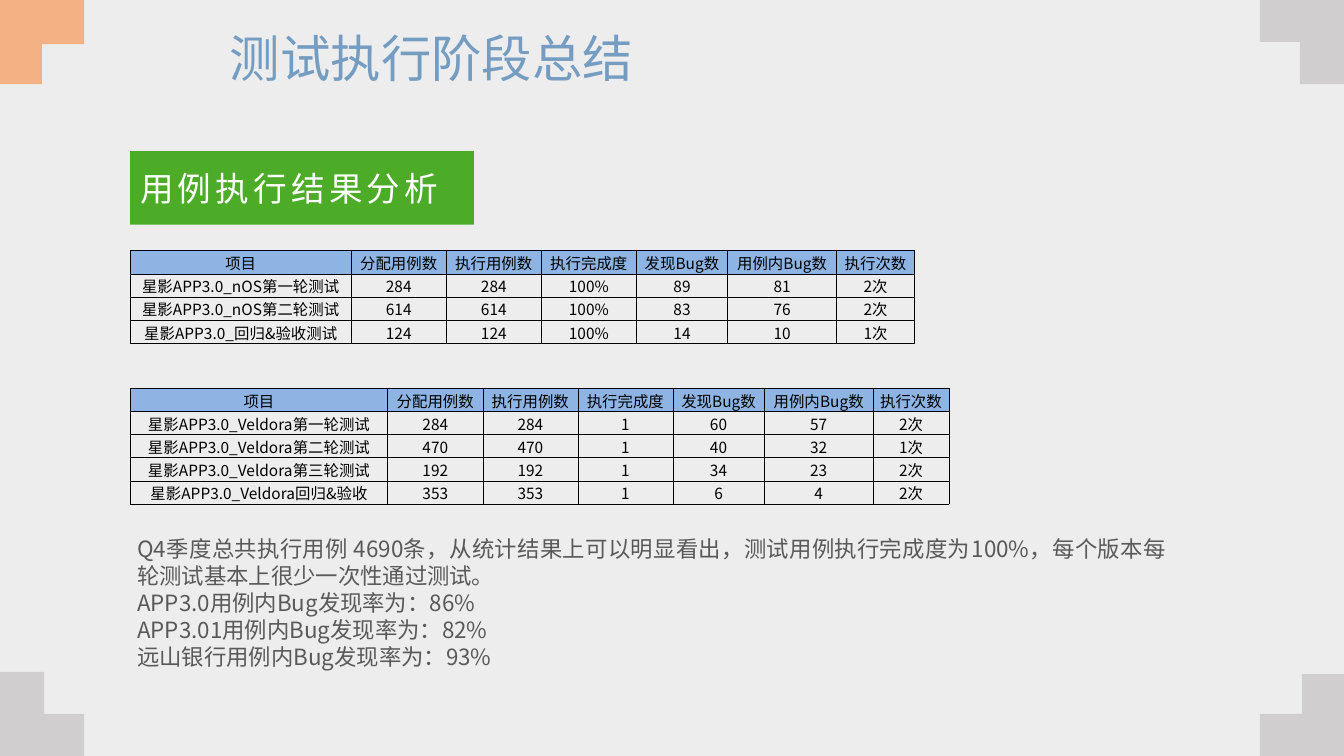
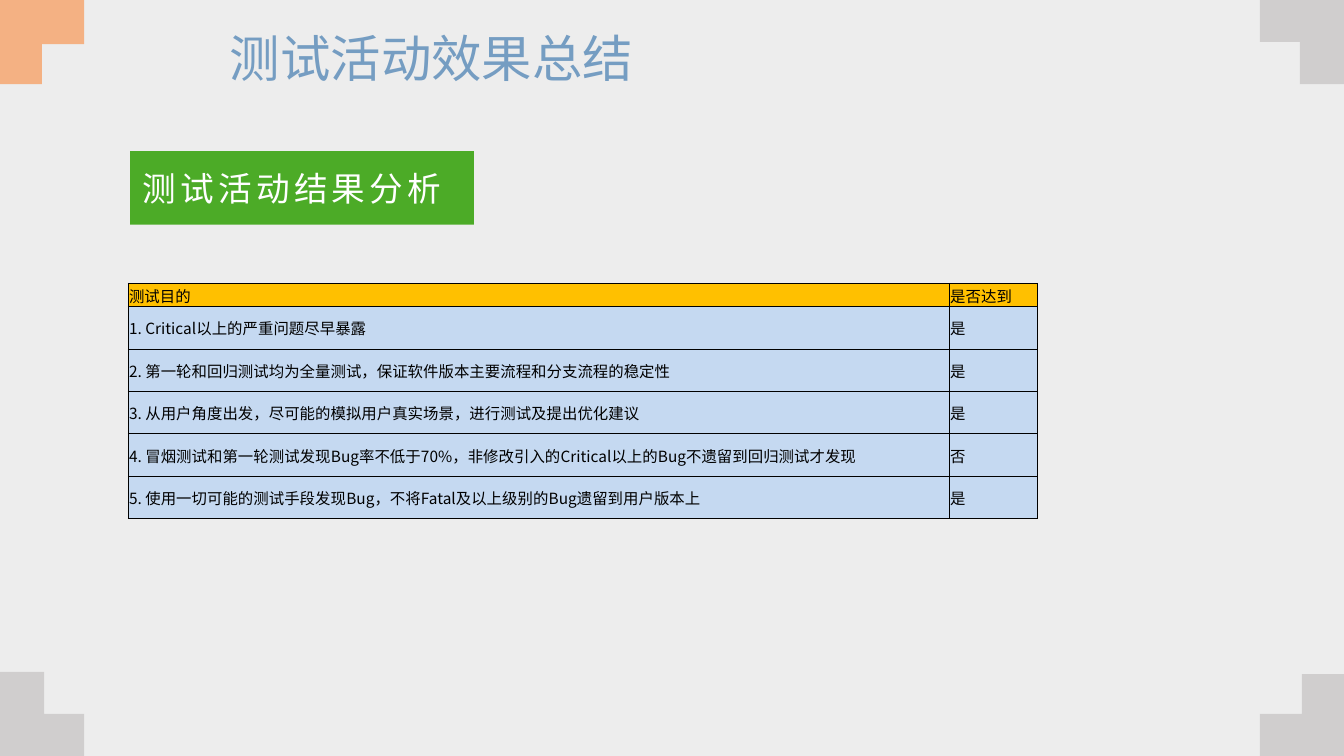
from dataclasses import dataclass
from typing import Optional, Sequence

from lxml import etree
from pptx import Presentation
from pptx.dml.color import RGBColor
from pptx.enum.shapes import MSO_SHAPE
from pptx.enum.text import MSO_ANCHOR, MSO_AUTO_SIZE, PP_ALIGN
from pptx.oxml.ns import qn
from pptx.util import Pt

RECT = MSO_SHAPE.RECTANGLE
LEFT, CENTER, JUSTIFY = PP_ALIGN.LEFT, PP_ALIGN.CENTER, PP_ALIGN.JUSTIFY
MIDDLE = MSO_ANCHOR.MIDDLE
NO_AUTOFIT = MSO_AUTO_SIZE.NONE

FONT = "Noto Sans CJK SC"
BACKGROUND = RGBColor(0xED, 0xED, 0xED)
ORANGE = RGBColor(0xF4, 0xB1, 0x83)
GRAY = RGBColor(0xD0, 0xCE, 0xCE)
GREEN = RGBColor(0x4C, 0xAB, 0x27)
TITLE_BLUE = RGBColor(0x75, 0x9D, 0xC2)
HEADER_BLUE = RGBColor(0x8D, 0xB4, 0xE3)
ROW_BLUE = RGBColor(0xC5, 0xD9, 0xF1)
AMBER = RGBColor(0xFF, 0xC0, 0x00)
TEXT_GRAY = RGBColor(0x59, 0x59, 0x59)
WHITE = RGBColor(0xFF, 0xFF, 0xFF)
BLACK = RGBColor(0x00, 0x00, 0x00)

SLIDE_W, SLIDE_H = 960, 540
CORNER_SIZE = 60
MARGIN = 93
HEADER_ROW_H = 16.6


@dataclass
class Corner:
    """L shape in a slide corner: a bar along the edge and a post beside it."""
    x: float
    y: float
    dx: int
    dy: int
    bar: float
    post: float
    height: float
    color: RGBColor


@dataclass
class Grid:
    x: float
    y: float
    widths: Sequence[float]
    row_h: float
    rows: Sequence[Sequence[str]]
    header_fill: RGBColor
    body_fill: Optional[RGBColor]
    align: PP_ALIGN


CORNERS = [
    Corner(0, SLIDE_H, 1, -1, 30, 31.5, CORNER_SIZE, GRAY),
    Corner(0, 0, 1, 1, 31.5, 30, CORNER_SIZE, ORANGE),
    Corner(SLIDE_W, 0, -1, 1, 30, 31.5, CORNER_SIZE, GRAY),
    Corner(SLIDE_W, SLIDE_H, -1, -1, 30, 30, 58.5, GRAY),
]

CASE_HEADER = ["项目", "分配用例数", "执行用例数", "执行完成度",
               "发现Bug数", "用例内Bug数", "执行次数"]
CASE_WIDTHS = [67.9, 67.9, 67.9, 65.2, 77.8]

FIRST_SYSTEM_GRID = Grid(
    MARGIN, 179, [157.9, *CASE_WIDTHS, 55.8], HEADER_ROW_H,
    [CASE_HEADER,
     ["星影APP3.0_nOS第一轮测试", "284", "284", "100%", "89", "81", "2次"],
     ["星影APP3.0_nOS第二轮测试", "614", "614", "100%", "83", "76", "2次"],
     ["星影APP3.0_回归&验收测试", "124", "124", "100%", "14", "10", "1次"]],
    HEADER_BLUE, None, CENTER)

SECOND_SYSTEM_GRID = Grid(
    MARGIN, 277.2, [184, *CASE_WIDTHS, 54.2], HEADER_ROW_H,
    [CASE_HEADER,
     ["星影APP3.0_Veldora第一轮测试", "284", "284", "1", "60", "57", "2次"],
     ["星影APP3.0_Veldora第二轮测试", "470", "470", "1", "40", "32", "1次"],
     ["星影APP3.0_Veldora第三轮测试", "192", "192", "1", "34", "23", "2次"],
     ["星影APP3.0_Veldora回归&验收", "353", "353", "1", "6", "4", "2次"]],
    HEADER_BLUE, None, CENTER)

GOAL_GRID = Grid(
    91.5, 202.3, [586.6, 63], 30.3,
    [["测试目的", "是否达到"],
     ["1. Critical以上的严重问题尽早暴露", "是"],
     ["2. 第一轮和回归测试均为全量测试，保证软件版本主要流程和分支流程的稳定性", "是"],
     ["3. 从用户角度出发，尽可能的模拟用户真实场景，进行测试及提出优化建议", "是"],
     ["4. 冒烟测试和第一轮测试发现Bug率不低于70%，非修改引入的Critical以上的Bug"
      "不遗留到回归测试才发现", "否"],
     ["5. 使用一切可能的测试手段发现Bug，不将Fatal及以上级别的Bug遗留到用户版本上", "是"]],
    AMBER, ROW_BLUE, LEFT)

SUMMARY = [
    "Q4季度总共执行用例 4690条，从统计结果上可以明显看出，测试用例执行完成度为100%，"
    "每个版本每轮测试基本上很少一次性通过测试。",
    "APP3.0用例内Bug发现率为：86%",
    "APP3.01用例内Bug发现率为：82%",
    "远山银行用例内Bug发现率为：93%",
]


def format_text(tf, size: float, color: RGBColor, align: PP_ALIGN,
                line_spacing=None, tracking: Optional[int] = None) -> None:
    for p in tf.paragraphs:
        p.alignment = align
        if line_spacing is not None:
            p.line_spacing = line_spacing
        for r in p.runs:
            r.font.size = Pt(size)
            r.font.color.rgb = color
            r.font.name = FONT
            rpr = r.font._element
            etree.SubElement(rpr, qn("a:ea")).set("typeface", FONT)
            if tracking is not None:
                rpr.set("spc", str(tracking))


def add_corner(s, c: Corner) -> None:
    far_x, far_y = c.x + c.dx * CORNER_SIZE, c.y + c.dy * c.height
    bar_y, post_x = c.y + c.dy * c.bar, c.x + c.dx * c.post
    points = [(far_x, c.y), (far_x, bar_y), (post_x, bar_y),
              (post_x, far_y), (c.x, far_y)]
    builder = s.shapes.build_freeform(Pt(c.x), Pt(c.y))
    builder.add_line_segments([(Pt(x), Pt(y)) for x, y in points], close=True)
    sp = builder.convert_to_shape()
    sp.shadow.inherit = False
    sp.fill.solid()
    sp.fill.fore_color.rgb = c.color
    sp.line.fill.background()


def add_heading(s, text: str, x: float) -> None:
    # Green band
    band = s.shapes.add_shape(RECT, Pt(MARGIN), Pt(108), Pt(245.5), Pt(52.4))
    band.shadow.inherit = False
    band.fill.solid()
    band.fill.fore_color.rgb = GREEN
    band.line.fill.background()
    # Spaced label
    tf = s.shapes.add_textbox(Pt(x), Pt(116), Pt(232.6), Pt(36)).text_frame
    tf.word_wrap = False
    tf.vertical_anchor = MIDDLE
    tf.text = text
    format_text(tf, 24, WHITE, CENTER, tracking=300)


def add_borders(cell) -> None:
    tcpr = cell._tc.get_or_add_tcPr()
    for side in ("lnL", "lnR", "lnT", "lnB"):
        ln = etree.SubElement(tcpr, qn(f"a:{side}"), w=str(Pt(0.5)))
        fill = etree.SubElement(ln, qn("a:solidFill"))
        etree.SubElement(fill, qn("a:srgbClr"), val=str(BLACK))


def add_grid(s, grid: Grid) -> None:
    heights = [HEADER_ROW_H] + [grid.row_h] * (len(grid.rows) - 1)
    table = s.shapes.add_table(
        len(heights), len(grid.widths), Pt(grid.x), Pt(grid.y),
        Pt(sum(grid.widths)), Pt(sum(heights))).table
    table.first_row = table.horz_banding = False
    for column, width in zip(table.columns, grid.widths):
        column.width = Pt(width)
    for i, (values, height) in enumerate(zip(grid.rows, heights)):
        table.rows[i].height = Pt(height)
        fill = grid.header_fill if i == 0 else grid.body_fill
        for j, value in enumerate(values):
            cell = table.cell(i, j)
            cell.margin_left = cell.margin_right = cell.margin_top = Pt(0.7)
            cell.margin_bottom = 0
            cell.vertical_anchor = MIDDLE
            add_borders(cell)
            if fill is None:
                cell.fill.background()
            else:
                cell.fill.solid()
                cell.fill.fore_color.rgb = fill
            cell.text_frame.text = value
            format_text(cell.text_frame, 11, BLACK, grid.align)


def add_summary(s, lines: Sequence[str]) -> None:
    tf = s.shapes.add_textbox(Pt(91), Pt(378.7), Pt(748.8), Pt(123.8)).text_frame
    tf.word_wrap = True
    tf.text = "\n".join(lines)
    format_text(tf, 16, TEXT_GRAY, JUSTIFY, line_spacing=Pt(19.3))


def add_slide(prs, title: str, heading: str, heading_x: float,
              grids: Sequence[Grid]):
    s = prs.slides.add_slide(prs.slide_layouts[5])
    for corner in CORNERS:
        add_corner(s, corner)
    add_heading(s, heading, heading_x)
    # Title
    sp = s.shapes.title
    sp.left, sp.top, sp.width, sp.height = Pt(157), Pt(20), Pt(646.6), Pt(48)
    tf = sp.text_frame
    tf.auto_size = NO_AUTOFIT
    tf.vertical_anchor = MIDDLE
    tf.text = title
    format_text(tf, 36, TITLE_BLUE, LEFT, line_spacing=0.9)
    # Tables
    for grid in grids:
        add_grid(s, grid)
    return s


def main() -> None:
    prs = Presentation()
    prs.slide_width, prs.slide_height = Pt(SLIDE_W), Pt(SLIDE_H)
    background = prs.slide_master.background.fill
    background.solid()
    background.fore_color.rgb = BACKGROUND

    s = add_slide(prs, "测试执行阶段总结", "用例执行结果分析", 90.3,
                  [FIRST_SYSTEM_GRID, SECOND_SYSTEM_GRID])
    add_summary(s, SUMMARY)
    add_slide(prs, "测试活动效果总结", "测试活动结果分析", 92.3, [GOAL_GRID])
    prs.save("out.pptx")


if __name__ == "__main__":
    main()
